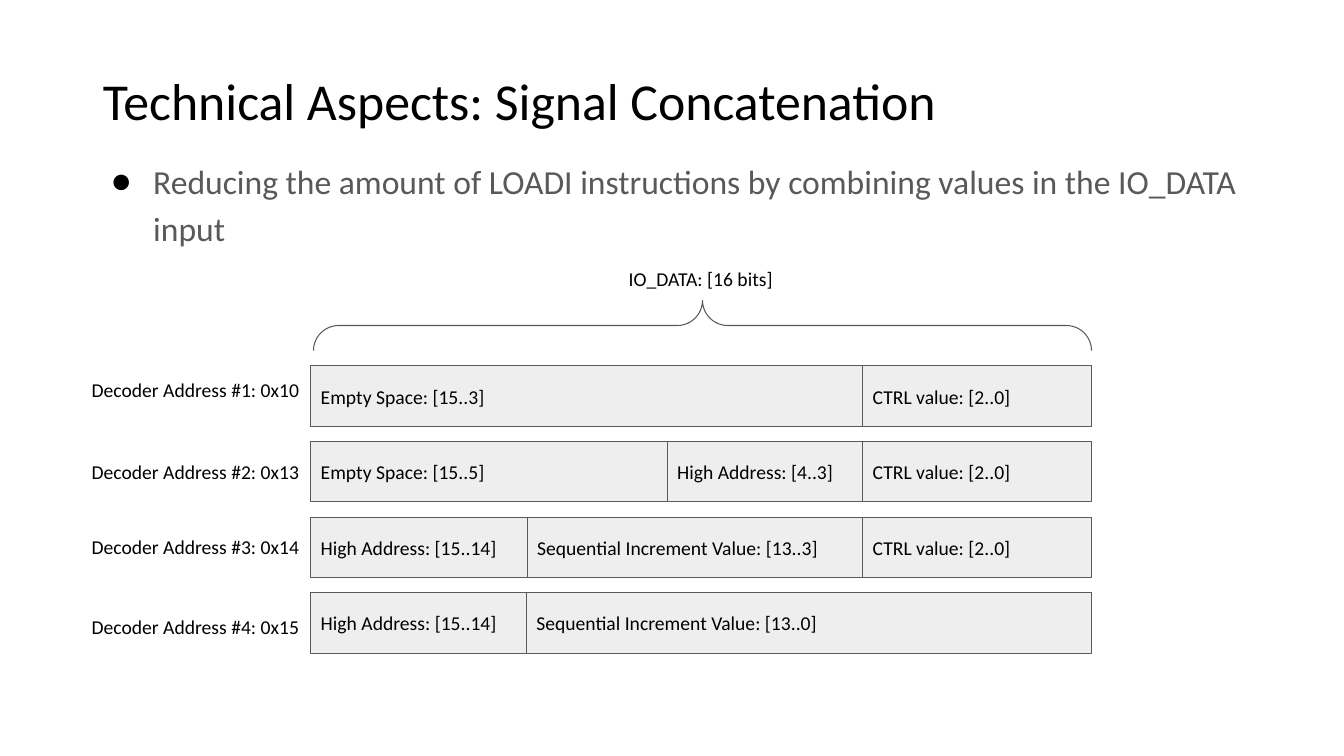
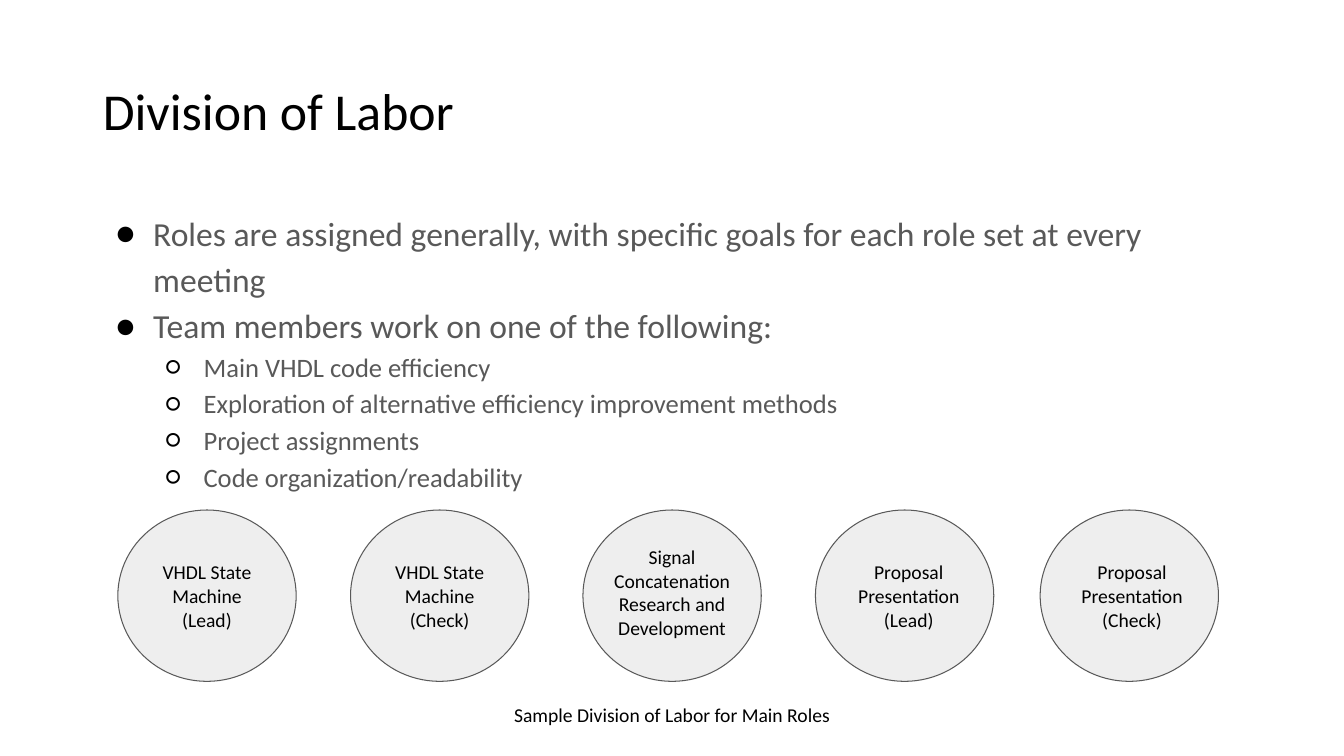
from dataclasses import dataclass

from lxml.etree import SubElement
from pptx import Presentation
from pptx.dml.color import RGBColor
from pptx.enum.shapes import MSO_SHAPE
from pptx.enum.text import MSO_ANCHOR, MSO_AUTO_SIZE, PP_ALIGN
from pptx.oxml.ns import qn
from pptx.util import Pt


@dataclass(frozen=True)
class Theme:
    font: str = "Calibri"
    ink: str = "000000"
    gray: str = "595959"
    pale: str = "EEEEEE"
    head: int = 37
    main: int = 24
    sub: int = 19
    note: int = 14
    line: float = 0.75


THEME = Theme()
MARKS = "●○"
PAD = (7.2, 7.2, 7.2, 7.2)
LEFT, WIDE = 66.24, 828

ROW_TOP, ROW_STEP, ROW_HIGH = 261.4, 54, 43.2
ROW_END = 780
ROWS = [
    ("Decoder Address #1: 0x10", 262.8,
     [(222, "Empty Space: [15..3]"), (616.3, "CTRL value: [2..0]")]),
    ("Decoder Address #2: 0x13", 321.1,
     [(222, "Empty Space: [15..5]"), (476.6, "High Address: [4..3]"),
      (616.3, "CTRL value: [2..0]")]),
    ("Decoder Address #3: 0x14", 375.1,
     [(222, "High Address: [15..14]"),
      (376.6, "Sequential Increment Value: [13..3]"),
      (616.3, "CTRL value: [2..0]")]),
    ("Decoder Address #4: 0x15", 432,
     [(222, "High Address: [15..14]"),
      (376, "Sequential Increment Value: [13..0]")]),
]

ROLES = [
    (84.2, "VHDL State Machine (Lead)", PAD),
    (250.4, "VHDL State Machine (Check)", PAD),
    (416.4, "Signal Concatenation Research and Development", (2, 0, 2, 5)),
    (582.5, "Proposal Presentation (Lead)", (9, 0, 3, 0)),
    (743, "Proposal Presentation (Check)", (7, 0, 3, 0)),
]

GOALS = [
    (0, "Roles are assigned generally, with specific goals for each role "
        "set at every meeting"),
    (0, "Team members work on one of the following:"),
    (1, "Main VHDL code efficiency"),
    (1, "Exploration of alternative efficiency improvement methods"),
    (1, "Project assignments"),
    (1, "Code organization/readability"),
]


def tint(text):
    return RGBColor.from_string(text)


def style(para, size, color, align=PP_ALIGN.LEFT):
    para.alignment = align
    for run in para.runs:
        run.font.name = THEME.font
        run.font.size = Pt(size)
        run.font.color.rgb = tint(color)


def place(shape, left, top, width, height):
    shape.left, shape.top = Pt(left), Pt(top)
    shape.width, shape.height = Pt(width), Pt(height)


def inset(frame, pads):
    frame.margin_left, frame.margin_top = Pt(pads[0]), Pt(pads[1])
    frame.margin_right, frame.margin_bottom = Pt(pads[2]), Pt(pads[3])


def write(shape, text, align=PP_ALIGN.LEFT, pads=PAD):
    frame = shape.text_frame
    frame.word_wrap = True
    inset(frame, pads)
    frame.text = text
    style(frame.paragraphs[0], THEME.note, THEME.ink, align)


def add_label(slide, text, spot, align=PP_ALIGN.LEFT):
    write(slide.shapes.add_textbox(*map(Pt, spot)), text, align)


def add_form(slide, kind, spot, fill=THEME.pale):
    shape = slide.shapes.add_shape(kind, *map(Pt, spot))
    shape.shadow.inherit = False
    if fill:
        shape.fill.solid()
        shape.fill.fore_color.rgb = tint(fill)
    else:
        shape.fill.background()
    shape.line.color.rgb = tint(THEME.gray)
    shape.line.width = Pt(THEME.line)
    return shape


def add_title(slide, text, top):
    title = slide.shapes.title
    place(title, LEFT, top, WIDE, 104.4)
    frame = title.text_frame
    frame.text = text
    frame.auto_size = MSO_AUTO_SIZE.NONE
    frame.vertical_anchor = MSO_ANCHOR.MIDDLE
    para = frame.paragraphs[0]
    para.line_spacing = 0.9
    style(para, THEME.head, THEME.ink)


def mark(para, level, hang):
    props = para._p.get_or_add_pPr()
    props.set("marL", str(Pt(36 * (level + 1))))
    props.set("indent", str(-Pt(hang)))
    color = SubElement(props, qn("a:buClr"))
    SubElement(color, qn("a:srgbClr")).set("val", THEME.ink)
    SubElement(props, qn("a:buFont")).set("typeface", THEME.font)
    SubElement(props, qn("a:buChar")).set("char", MARKS[level])


def add_list(slide, items, top, height, hang):
    body = slide.placeholders[1]
    place(body, LEFT, top, WIDE, height)
    frame = body.text_frame
    frame.text = "\n".join(text for _, text in items)
    frame.auto_size = MSO_AUTO_SIZE.NONE
    for i, (para, (level, _)) in enumerate(zip(frame.paragraphs, items)):
        para.level = level
        para.line_spacing = 1.15
        para.space_before = Pt(0 if i else 10)
        style(para, THEME.sub if level else THEME.main, THEME.gray)
        mark(para, level, hang)


def add_brace(slide):
    brace = add_form(slide, MSO_SHAPE.RIGHT_BRACE,
                     (483.8, -45.4, 36, 555.8), None)
    brace.rotation = 270
    brace.adjustments[0] = 0.5
    brace.adjustments[1] = 0.5


def add_row(slide, top, cells):
    ends = [left for left, _ in cells[1:]] + [ROW_END]
    for (left, text), end in zip(cells, ends):
        cell = add_form(slide, MSO_SHAPE.RECTANGLE,
                        (left, top, end - left, ROW_HIGH))
        write(cell, text)


def add_role(slide, left, text, pads):
    disc = add_form(slide, MSO_SHAPE.OVAL, (left, 364.3, 127.4, 122.4))
    write(disc, text, PP_ALIGN.CENTER, pads)


def build_fields(slide):
    add_title(slide, "Technical Aspects: Signal Concatenation", 21.6)
    add_list(slide, [(0, "Reducing the amount of LOADI instructions by "
                         "combining values in the IO_DATA input")],
             107.3, 102.2, 30)
    add_label(slide, "IO_DATA: [16 bits]", (442, 183.6, 121, 28))
    add_brace(slide)
    for i, (label, top, cells) in enumerate(ROWS):
        add_label(slide, label, (58.3, top, 164.2, 31))
        add_row(slide, ROW_TOP + i * ROW_STEP, cells)


def build_roles(slide):
    add_title(slide, "Division of Labor", 28.8)
    add_list(slide, GOALS, 144, 342.7, 27)
    for role in ROLES:
        add_role(slide, *role)
    add_label(slide, "Sample Division of Labor for Main Roles",
              (109.4, 494.6, 741.6, 28), PP_ALIGN.CENTER)


def main():
    deck = Presentation()
    deck.slide_width, deck.slide_height = Pt(960), Pt(540)
    for build in (build_fields, build_roles):
        build(deck.slides.add_slide(deck.slide_layouts[1]))
    deck.save("out.pptx")


if __name__ == "__main__":
    main()
